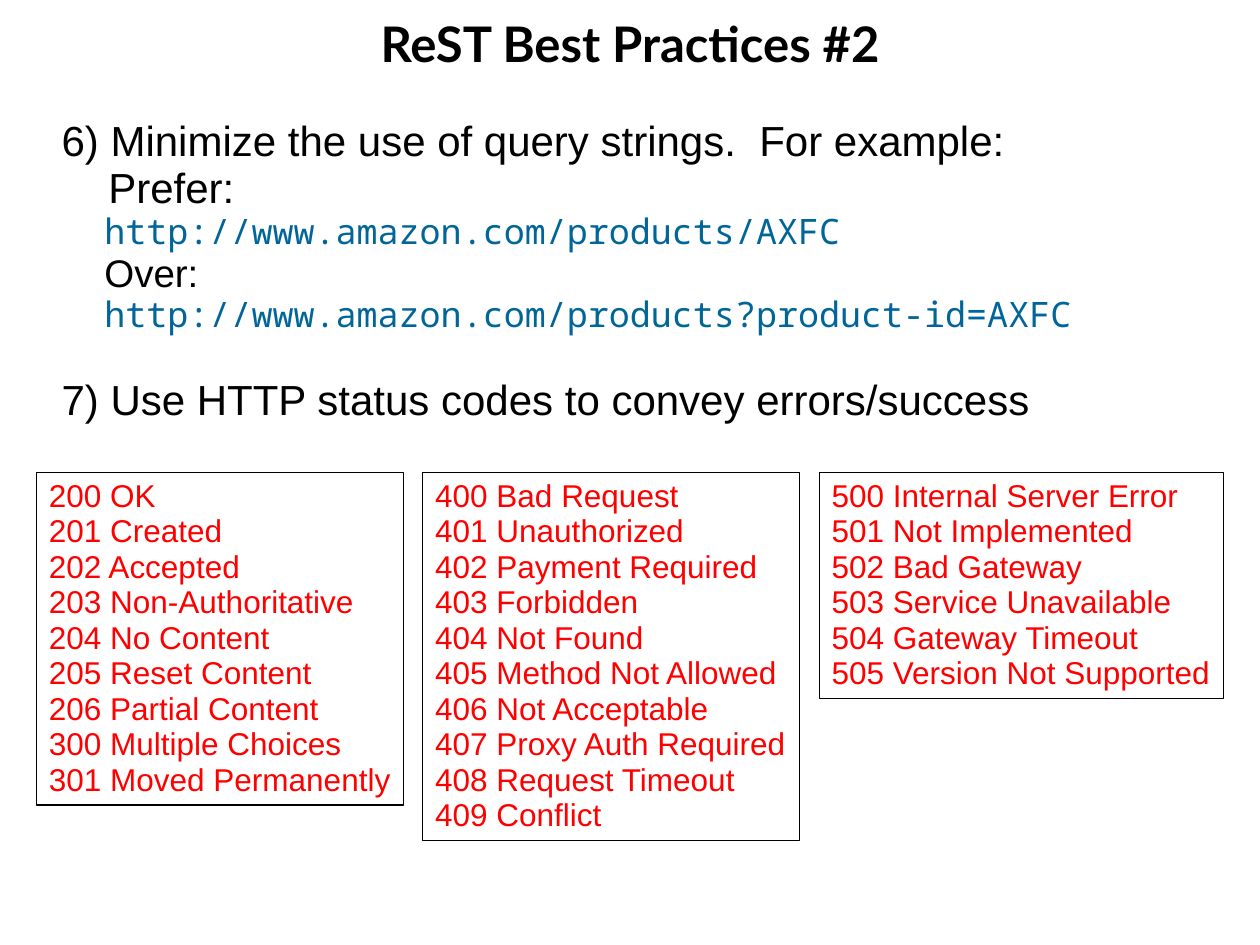
"""Build a slide on ReST best practices with three boxes of HTTP status codes."""
from dataclasses import dataclass
from typing import Optional

import lxml.etree
import pptx
import pptx.dml.color
import pptx.enum.shapes
import pptx.enum.text
import pptx.oxml
import pptx.oxml.ns
import pptx.util

Pt = pptx.util.Pt
Align = pptx.enum.text.PP_ALIGN
Anchor = pptx.enum.text.MSO_ANCHOR
AutoSize = pptx.enum.text.MSO_AUTO_SIZE


@dataclass(frozen=True)
class TextStyle:
    font: str
    size: float
    color: str
    bold: bool = False


@dataclass(frozen=True)
class Theme:
    title: TextStyle = TextStyle("Lato", 28, "000000", True)
    item: TextStyle = TextStyle("Arial", 24, "000000")
    label: TextStyle = TextStyle("Arial", 22, "000000")
    address: TextStyle = TextStyle("Noto Sans Mono", 20, "006699")
    code: TextStyle = TextStyle("Arial", 18, "FF0000")
    border: str = "000000"
    border_width: float = 0.75
    line_spacing: float = 0.94


@dataclass(frozen=True)
class Line:
    text: str
    style: TextStyle
    indent: float = 0
    before: float = 0
    number_from: Optional[int] = None


@dataclass(frozen=True)
class CodeBox:
    width: float
    height: float
    lines: list[Line]


THEME = Theme()
SLIDE_WIDTH, SLIDE_HEIGHT = 720, 540
BOX_LEFT, BOX_TOP, BOX_GAP = 20.9, 270, 11.2
NUMBER_INDENT = 35


def code_lines(*texts: str) -> list[Line]:
    return [Line(text, THEME.code) for text in texts]


def numbered_lines(start: int, *texts: str) -> list[Line]:
    return [Line(text, THEME.code, NUMBER_INDENT, number_from=start) for text in texts]


TITLE = [Line("ReST Best Practices #2", THEME.title)]
PRACTICES = [
    Line("6) Minimize the use of query strings.  For example:", THEME.item),
    Line("Prefer:", THEME.item, 26.7),
    Line("http://www.amazon.com/products/AXFC", THEME.address, 24.5),
    Line("Over:", THEME.label, 24.5),
    Line("http://www.amazon.com/products?product-id=AXFC", THEME.address, 24.5),
    Line("7) Use HTTP status codes to convey errors/success", THEME.item, before=23.8),
]
CODE_BOXES = [
    CodeBox(209.5, 190, [
        *code_lines("200 OK", "201 Created", "202 Accepted", "203 Non-Authoritative"),
        *numbered_lines(204, "No Content", "Reset Content", "Partial Content"),
        *code_lines("300 Multiple Choices", "301 Moved Permanently"),
    ]),
    CodeBox(215.3, 210.3, code_lines(
        "400 Bad Request", "401 Unauthorized", "402 Payment Required",
        "403 Forbidden", "404 Not Found", "405 Method Not Allowed",
        "406 Not Acceptable", "407 Proxy Auth Required", "408 Request Timeout",
        "409 Conflict",
    )),
    CodeBox(231.1, 129, code_lines(
        "500 Internal Server Error", "501 Not Implemented", "502 Bad Gateway",
        "503 Service Unavailable", "504 Gateway Timeout", "505 Version Not Supported",
    )),
]


def color(value: str) -> pptx.dml.color.RGBColor:
    return pptx.dml.color.RGBColor.from_string(value)


def set_all(target: object, values: dict) -> None:
    for name, value in values.items():
        setattr(target, name, value)


def add_number(properties: lxml.etree._Element, line: Line) -> None:
    qn = pptx.oxml.ns.qn
    properties.set("indent", str(Pt(-line.indent)))
    bullet_color = lxml.etree.SubElement(properties, qn("a:buClr"))
    lxml.etree.SubElement(bullet_color, qn("a:srgbClr"), val=line.style.color)
    lxml.etree.SubElement(properties, qn("a:buAutoNum"), type="arabicPlain",
                          startAt=str(line.number_from))


def write_lines(frame: pptx.text.text.TextFrame, lines: list[Line],
                spacing: float, align: Align = Align.LEFT) -> None:
    for index, line in enumerate(lines):
        para = frame.add_paragraph() if index else frame.paragraphs[0]
        properties = para._p.get_or_add_pPr()
        if line.indent:
            properties.set("marL", str(Pt(line.indent)))
        if line.number_from is not None:
            add_number(properties, line)
        set_all(para, {"alignment": align, "line_spacing": spacing,
                       "space_before": Pt(line.before)})
        span = para.add_run()
        span.text = line.text
        style = line.style
        set_all(span.font, {"name": style.font, "size": Pt(style.size), "bold": style.bold})
        span.font.color.rgb = color(style.color)


def add_code_box(slide: pptx.slide.Slide, left: float, code_box: CodeBox) -> None:
    box = slide.shapes.add_shape(
        pptx.enum.shapes.MSO_SHAPE.RECTANGLE, Pt(left), Pt(BOX_TOP),
        Pt(code_box.width), Pt(code_box.height))
    box.shadow.inherit = False
    box.fill.background()
    box.line.color.rgb = color(THEME.border)
    box.line.width = Pt(THEME.border_width)
    set_all(box.text_frame, {"word_wrap": False, "vertical_anchor": Anchor.TOP,
                             "auto_size": AutoSize.SHAPE_TO_FIT_TEXT})
    write_lines(box.text_frame, code_box.lines, THEME.line_spacing)


def main() -> None:
    deck = pptx.Presentation()
    set_all(deck, {"slide_width": Pt(SLIDE_WIDTH), "slide_height": Pt(SLIDE_HEIGHT)})
    slide = deck.slides.add_slide(deck.slide_layouts[6])

    title = slide.shapes.add_textbox(Pt(0), Pt(0), Pt(SLIDE_WIDTH), Pt(49))
    set_all(title.text_frame, {"word_wrap": True, "vertical_anchor": Anchor.MIDDLE})
    write_lines(title.text_frame, TITLE, 1.0, Align.CENTER)

    body = slide.shapes.add_textbox(Pt(28.1), Pt(64.1), Pt(663), Pt(214.6))
    set_all(body.text_frame, {"word_wrap": True, "auto_size": AutoSize.SHAPE_TO_FIT_TEXT})
    write_lines(body.text_frame, PRACTICES, THEME.line_spacing)

    left = BOX_LEFT
    for code_box in CODE_BOXES:
        add_code_box(slide, left, code_box)
        left += code_box.width + BOX_GAP

    deck.save("out.pptx")


if __name__ == "__main__":
    main()
